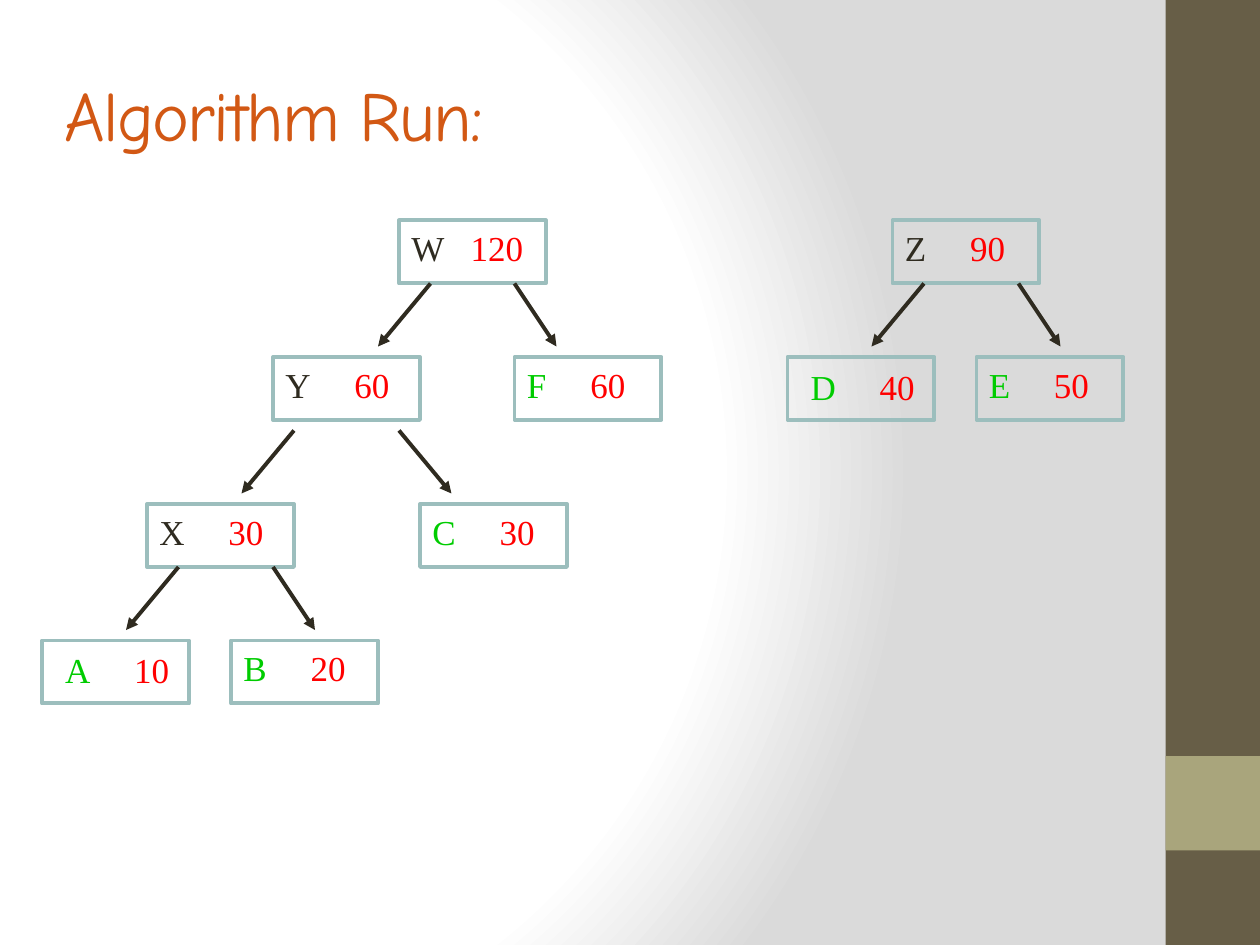
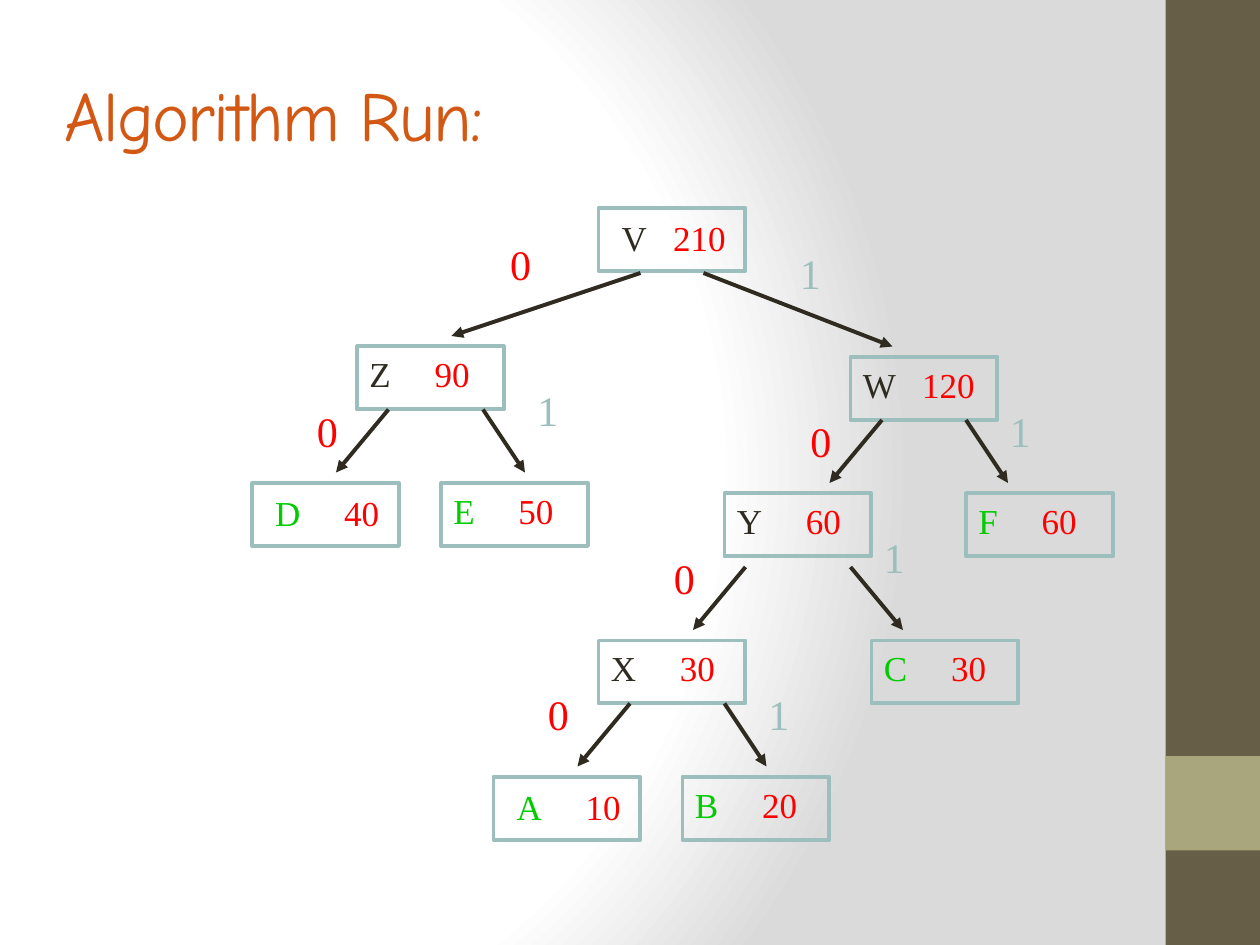
import dataclasses
import typing

import pptx
import pptx.dml.color
import pptx.enum.shapes
import pptx.enum.text
import pptx.oxml
import pptx.oxml.ns
import pptx.util

COLS, ROWS = 120, 90
CELL = pptx.util.Inches(10) // COLS
NODE_W, NODE_H = 14, 6
INSET_X, INSET_Y = 1.2, 0.6
NS = pptx.oxml.ns.nsdecls("a", "p")
RECT = pptx.enum.shapes.MSO_SHAPE.RECTANGLE
ANCHOR = pptx.enum.text.MSO_ANCHOR


@dataclasses.dataclass(frozen=True)
class Theme:
    title_font: str = "Comic Neue"
    body_font: str = "Times New Roman"
    title_size: int = 40
    node_size: int = 20
    bit_size: int = 24
    line_width: float = 2.25
    title: str = "D25814"
    band: str = "675E47"
    accent: str = "A9A57C"
    frame: str = "9CBEBD"
    ink: str = "2F2B20"
    leaf: str = "00CC00"
    value: str = "FF0000"
    back: str = "FFFFFF"
    shade: str = "DADADA"


THEME = Theme()
BIT_COLORS = {"0": THEME.value, "1": THEME.frame}
# Advance widths of the letters, in ems
EM = dict(A=.72, B=.67, C=.67, D=.72, E=.61, F=.56,
          V=.72, W=.94, X=.72, Y=.72, Z=.61)


@dataclasses.dataclass(frozen=True)
class Branch:
    """A child; all offsets are columns and rows from its parent's corner."""
    child: "Node"
    offset: tuple
    arrow: tuple  # columns where the arrow starts and ends
    bit_at: tuple


@dataclasses.dataclass(frozen=True)
class Node:
    name: str
    value: int
    left: typing.Optional[Branch] = None
    right: typing.Optional[Branch] = None
    indent: float = 0
    arrow_gap: float = 0


def leaf(name, value, indent=0):
    return Node(name, value, indent=indent)


X = Node("X", 30,
         Branch(leaf("A", 10, 1), (-10, 13), (3, -2), (-6, 4)),
         Branch(leaf("B", 20), (8, 13), (12, 16), (15, 4)))
Y = Node("Y", 60,
         Branch(X, (-12, 14), (2, -3), (-6, 5)),
         Branch(leaf("C", 30), (14, 14), (12, 17), (14, 3)), arrow_gap=1)
W = Node("W", 120,
         Branch(Y, (-12, 13), (3, -2), (-5, 5)),
         Branch(leaf("F", 60), (11, 13), (11, 15), (14, 4)))
Z = Node("Z", 90,
         Branch(leaf("D", 40, 1), (-10, 13), (3, -2), (-5, 5)),
         Branch(leaf("E", 50), (8, 13), (12, 16), (16, 3)))
V = Node("V", 210,
         Branch(Z, (-23, 13.2), (4, -14), (-9.6, 2.3)),
         Branch(W, (24, 14.2), (10, 28), (18, 3.2)),
         indent=1, arrow_gap=0.2)


def grid(*cells):
    return [round(c * CELL) for c in cells]


def rgb(color):
    return pptx.dml.color.RGBColor.from_string(color)


def write(sp, *runs, size, font=THEME.body_font, anchor=ANCHOR.TOP,
          indent=0, drop=0, tab=None, spacing=None):
    """Fill a shape with one paragraph of (text, colour) runs."""
    tf = sp.text_frame
    tf.word_wrap = True
    tf.vertical_anchor = anchor
    tf.margin_left, tf.margin_right = grid(INSET_X + indent, 0)
    tf.margin_top, tf.margin_bottom = grid(INSET_Y + drop, 0)
    p = tf.paragraphs[0]
    p.alignment = pptx.enum.text.PP_ALIGN.LEFT
    if tab:
        p._p.get_or_add_pPr().append(pptx.oxml.parse_xml(
            f'<a:tabLst {NS}><a:tab pos="{tab}" algn="l"/></a:tabLst>'))
    for text, color in runs:
        r = p.add_run()
        r.text = text
        r.font.name = font
        r.font.size = pptx.util.Pt(size)
        r.font.color.rgb = rgb(color)
        if spacing:
            r._r.get_or_add_rPr().set("spc", str(spacing * 100))


def add_rect(slide, box, fill=None, line=None):
    sp = slide.shapes.add_shape(RECT, *grid(*box))
    sp.shadow.inherit = False
    if fill:
        sp.fill.solid()
        sp.fill.fore_color.rgb = rgb(fill)
    else:
        sp.fill.background()
    if line:
        sp.line.color.rgb = rgb(line)
        sp.line.width = pptx.util.Pt(THEME.line_width)
    else:
        sp.line.fill.background()
    return sp


def add_arrow(slide, start, end):
    line = slide.shapes.add_connector(
        pptx.enum.shapes.MSO_CONNECTOR.STRAIGHT, *grid(*start, *end))
    line.line.color.rgb = rgb(THEME.ink)
    line.line.width = pptx.util.Pt(THEME.line_width)
    line.line._get_or_add_ln().append(
        pptx.oxml.parse_xml(f'<a:tailEnd {NS} type="triangle"/>'))
    line._element.spPr.append(pptx.oxml.parse_xml(f"<a:effectLst {NS}/>"))


def add_background(slide):
    stops = "".join(
        f'<a:gs pos="{pos}000"><a:srgbClr val="{color}"/></a:gs>'
        for pos, color in ((0, THEME.back), (75, THEME.back), (100, THEME.shade)))
    slide.element.cSld.insert(0, pptx.oxml.parse_xml(
        f'<p:bg {NS}><p:bgPr><a:gradFill rotWithShape="1">'
        f'<a:gsLst>{stops}</a:gsLst><a:path path="circle">'
        '<a:fillToRect l="20000" t="50000" r="100000" b="50000"/></a:path>'
        '</a:gradFill><a:effectLst/></p:bgPr></p:bg>'))


def add_side_band(slide, left, top, width, height):
    add_rect(slide, (left, top, width, height), THEME.band)
    add_rect(slide, (left, top + 0.8 * height, width, 0.1 * height), THEME.accent)


def add_title(slide, text, box):
    sp = slide.shapes.add_textbox(*grid(*box))
    write(sp, (text, THEME.title), size=THEME.title_size,
          font=THEME.title_font, anchor=ANCHOR.MIDDLE, spacing=-1)


def add_node(slide, node, x, y):
    sp = add_rect(slide, (x, y, NODE_W, NODE_H), line=THEME.frame)
    value = str(node.value)
    gap = 0.25 * (9 - 2 * len(value))  # longer numbers stand closer
    tab = pptx.util.Pt(THEME.node_size * (EM[node.name] + gap))
    color = THEME.ink if node.left else THEME.leaf
    write(sp, (node.name + "\t", color), (value, THEME.value),
          size=THEME.node_size, indent=node.indent,
          drop=0.2 * node.indent, tab=tab)


def add_tree(slide, node, x, y, bits=False):
    """Draw a node at column x, row y, and everything below it."""
    add_node(slide, node, x, y)
    for bit, branch in (("0", node.left), ("1", node.right)):
        if branch is None:
            continue
        dx, dy = branch.offset
        start, end = branch.arrow
        add_arrow(slide, (x + start, y + NODE_H + node.arrow_gap),
                  (x + end, y + dy - 1))
        add_tree(slide, branch.child, x + dx, y + dy, bits)
        if bits:
            bx, by = branch.bit_at
            sp = slide.shapes.add_textbox(*grid(x + bx, y + by, 4.7, 6))
            write(sp, (bit, BIT_COLORS[bit]), size=THEME.bit_size)


def add_run_slide(prs, *trees, bits=False):
    slide = prs.slides.add_slide(prs.slide_layouts[6])
    add_background(slide)
    add_side_band(slide, 0.925 * COLS, 0, 0.075 * COLS, ROWS)
    add_title(slide, "Algorithm Run:", (5, 3, 108, 15))
    for root, x, y in trees:
        add_tree(slide, root, x, y, bits)


def main():
    prs = pptx.Presentation()
    prs.slide_width, prs.slide_height = grid(COLS, ROWS)
    add_run_slide(prs, (W, 38, 21), (Z, 85, 21))
    add_run_slide(prs, (V, 57, 19.8), bits=True)
    prs.save("out.pptx")


if __name__ == "__main__":
    main()
